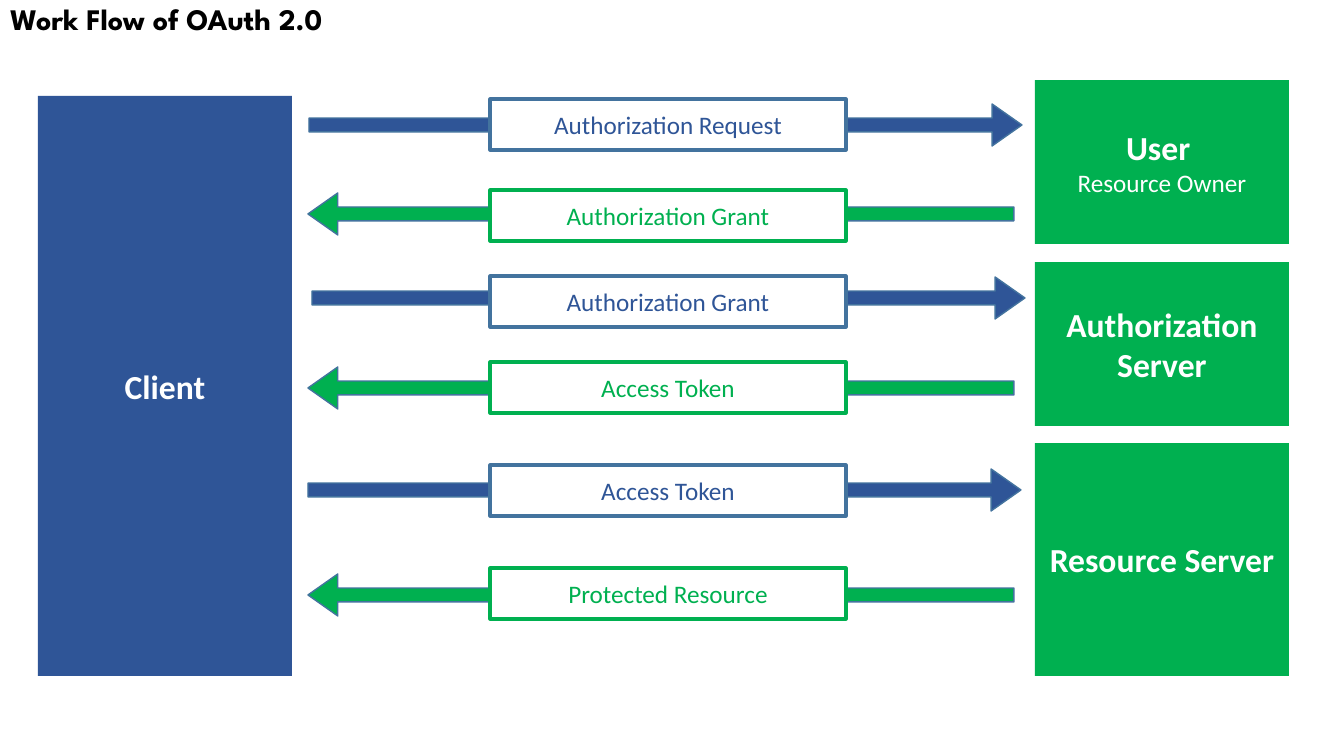
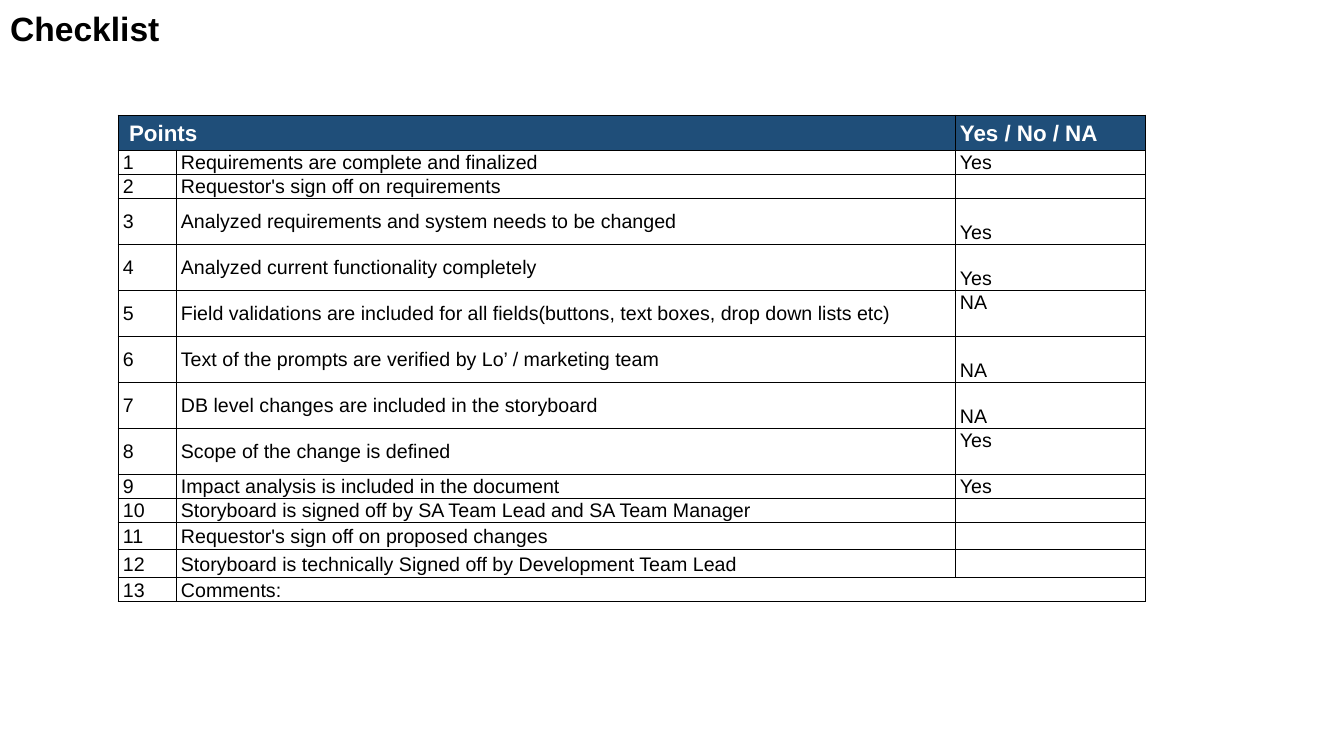
from lxml import etree
from pptx import Presentation
from pptx.dml.color import RGBColor
from pptx.enum.shapes import MSO_SHAPE
from pptx.enum.text import MSO_ANCHOR, MSO_AUTO_SIZE, PP_ALIGN
from pptx.oxml.ns import qn
from pptx.util import Emu, Pt

SLIDE_WIDTH, SLIDE_HEIGHT = 1344, 756
EMU_PER_PX = 12192000 / SLIDE_WIDTH
TITLE_ONLY = 5

COLORS = {
    "blue": "2F5597",
    "green": "00B050",
    "outline": "43739E",
    "header": "1F4E79",
    "white": "FFFFFF",
    "black": "000000",
}

# text, left, top, width, height
PARTIES = [
    ([("Client", 24, True)], "blue", 38, 96, 580),
    ([("User ", 24, True), ("Resource Owner", 18, False)], "green", 1035, 80, 164),
    ([("Authorization Server", 24, True)], "green", 1035, 262, 164),
    ([("Resource Server", 24, True)], "green", 1035, 443, 233),
]
PARTY_WIDTH = 254

# text, sent by the client, arrow left, arrow top, label top
MESSAGES = [
    ("Authorization Request", True, 309, 104, 99),
    ("Authorization Grant", False, 308, 193, 190),
    ("Authorization Grant", True, 312, 277, 276),
    ("Access Token", False, 308, 367, 362),
    ("Access Token", True, 308, 469, 465),
    ("Protected Resource", False, 308, 574, 568),
]

COLUMN_WIDTHS = [58, 779, 190]
HEADER_HEIGHT, LINE_HEIGHT, LOOSE_HEIGHT, TALL_HEIGHT = 35, 24, 28, 46
TOP, MIDDLE, BOTTOM = MSO_ANCHOR.TOP, MSO_ANCHOR.MIDDLE, MSO_ANCHOR.BOTTOM

# point, answer, row height, anchor of the answer
CHECKS = [
    ("Requirements are complete and finalized", "Yes", LINE_HEIGHT, MIDDLE),
    ("Requestor's sign off on requirements", "", LINE_HEIGHT, MIDDLE),
    ("Analyzed requirements and system needs to be changed", "Yes", TALL_HEIGHT, BOTTOM),
    ("Analyzed current functionality completely", "Yes", TALL_HEIGHT, BOTTOM),
    ("Field validations are included for all fields(buttons, text boxes, drop down lists etc)",
     "NA", TALL_HEIGHT, TOP),
    ("Text of the prompts are verified by Lo’ / marketing team", "NA", TALL_HEIGHT, BOTTOM),
    ("DB level changes are included in the storyboard", "NA", TALL_HEIGHT, BOTTOM),
    ("Scope of the change is defined", "Yes", TALL_HEIGHT, TOP),
    ("Impact analysis is included in the document", "Yes", LINE_HEIGHT, MIDDLE),
    ("Storyboard is signed off by SA Team Lead and SA Team Manager", "", LINE_HEIGHT, MIDDLE),
    ("Requestor's sign off on proposed changes", "", LOOSE_HEIGHT, MIDDLE),
    ("Storyboard is technically Signed off by Development Team Lead", "", LOOSE_HEIGHT, MIDDLE),
    ("Comments:", "", LINE_HEIGHT, MIDDLE),
]


def px(length):
    return Emu(round(length * EMU_PER_PX))


def color(name):
    return RGBColor.from_string(COLORS[name])


def set_font(para, name, size, color_name, bold=False):
    para.font.name = name
    para.font.size = Pt(size)
    para.font.bold = bold
    para.font.color.rgb = color(color_name)


def add_titled_slide(deck, text, font_name, size, height, anchor):
    slide = deck.slides.add_slide(deck.slide_layouts[TITLE_ONLY])
    title = slide.shapes.title
    title.left, title.top, title.width, title.height = px(0), px(0), px(SLIDE_WIDTH), px(height)
    frame = title.text_frame
    frame.text = text
    frame.auto_size = MSO_AUTO_SIZE.NONE
    frame.vertical_anchor = anchor
    para = frame.paragraphs[0]
    para.alignment = PP_ALIGN.LEFT
    para.line_spacing = 0.9
    set_font(para, font_name, size, "black", bold=True)
    return slide


def add_block(slide, preset, left, top, width, height, fill, line=None, line_width=1):
    block = slide.shapes.add_shape(preset, px(left), px(top), px(width), px(height))
    block.shadow.inherit = False
    block.fill.solid()
    block.fill.fore_color.rgb = color(fill)
    if line:
        block.line.color.rgb = color(line)
        block.line.width = Pt(line_width)
    else:
        block.line.fill.background()
    return block


def write_lines(block, lines, color_name):
    """Fill a block with centred lines of (text, size, bold)."""
    frame = block.text_frame
    frame.word_wrap = True
    frame.vertical_anchor = MSO_ANCHOR.MIDDLE
    for index, (text, size, bold) in enumerate(lines):
        para = frame.add_paragraph() if index else frame.paragraphs[0]
        para.text = text
        para.alignment = PP_ALIGN.CENTER
        set_font(para, "Calibri", size, color_name, bold)


def add_message(slide, text, from_client, arrow_left, arrow_top, label_top):
    """Draw an arrow between the parties with a label over it."""
    if from_client:
        preset, width, main_color, label_line = MSO_SHAPE.RIGHT_ARROW, 713, "blue", "outline"
    else:
        preset, width, main_color, label_line = MSO_SHAPE.LEFT_ARROW, 706, "green", "green"
    arrow = add_block(slide, preset, arrow_left, arrow_top, width, 42, main_color, "outline")
    arrow.adjustments[0], arrow.adjustments[1] = 0.33, 0.71
    label = add_block(slide, MSO_SHAPE.RECTANGLE, 490, label_top, 356, 51,
                      "white", label_line, 2.25)
    write_lines(label, [(text, 18, False)], main_color)


def add_borders(cell):
    properties = cell._tc.get_or_add_tcPr()
    for index, side in enumerate(("a:lnL", "a:lnR", "a:lnT", "a:lnB")):
        line = etree.Element(qn(side), w=str(Pt(0.5)))
        fill = etree.SubElement(line, qn("a:solidFill"))
        etree.SubElement(fill, qn("a:srgbClr"), val=COLORS["black"])
        properties.insert(index, line)


def format_cell(cell, text, is_header, anchor=MIDDLE):
    cell.margin_left = cell.margin_right = px(5)
    cell.margin_top = cell.margin_bottom = 0
    cell.vertical_anchor = anchor
    if is_header:
        cell.fill.solid()
        cell.fill.fore_color.rgb = color("header")
    else:
        cell.fill.background()
    add_borders(cell)
    para = cell.text_frame.paragraphs[0]
    para.line_spacing = 1.07
    if text:
        para.text = text
        set_font(para, "Arial", 16 if is_header else 14,
                 "white" if is_header else "black", is_header)
    else:
        etree.SubElement(para._p, qn("a:endParaRPr"), sz="1400")


def add_checklist(slide):
    heights = [HEADER_HEIGHT] + [check[2] for check in CHECKS]
    table = slide.shapes.add_table(len(heights), len(COLUMN_WIDTHS), px(118), px(115),
                                   px(sum(COLUMN_WIDTHS)), px(sum(heights))).table
    table.horz_banding = False
    for column, width in zip(table.columns, COLUMN_WIDTHS):
        column.width = px(width)
    for row, height in zip(table.rows, heights):
        row.height = px(height)
    for column, text in enumerate((" Points", "", "Yes / No / NA")):
        format_cell(table.cell(0, column), text, True)
    for number, (point, answer, _, anchor) in enumerate(CHECKS, 1):
        format_cell(table.cell(number, 0), str(number), False)
        format_cell(table.cell(number, 1), point, False)
        format_cell(table.cell(number, 2), answer, False, anchor)
    table.cell(0, 0).merge(table.cell(0, 1))
    table.cell(len(CHECKS), 1).merge(table.cell(len(CHECKS), 2))


def build_workflow(deck):
    slide = add_titled_slide(deck, "Work Flow of OAuth 2.0", "League Spartan", 21.3, 52, TOP)
    for lines, fill, left, top, height in PARTIES:
        party = add_block(slide, MSO_SHAPE.RECTANGLE, left, top, PARTY_WIDTH, height, fill)
        write_lines(party, lines, "white")
    for message in MESSAGES:
        add_message(slide, *message)


def build_checklist(deck):
    slide = add_titled_slide(deck, "Checklist", "Arial", 24, 61, MIDDLE)
    add_checklist(slide)


def main():
    deck = Presentation()
    deck.slide_width, deck.slide_height = px(SLIDE_WIDTH), px(SLIDE_HEIGHT)
    build_workflow(deck)
    build_checklist(deck)
    deck.save("out.pptx")


if __name__ == "__main__":
    main()
